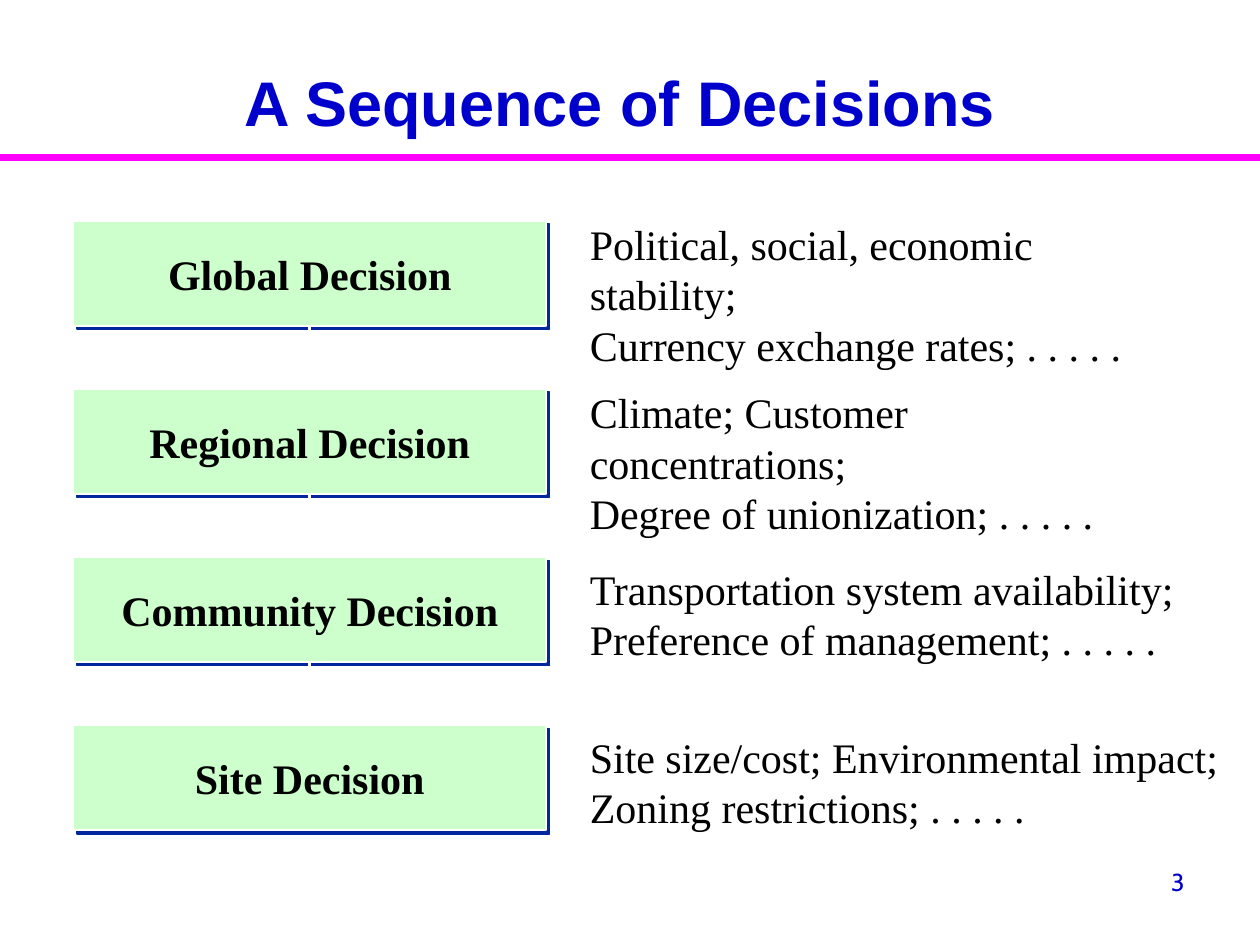
import pptx
import pptx.dml.color
import pptx.enum.shapes
import pptx.enum.text
import pptx.oxml
import pptx.oxml.ns
import pptx.util

Cm, Pt = pptx.util.Cm, pptx.util.Pt
ALIGN = pptx.enum.text.PP_ALIGN
ANCHOR = pptx.enum.text.MSO_ANCHOR

# Content
TITLE = "A Sequence of Decisions"
PAGE_NUMBER = "3"
# decision, factors, width of the factors and their offset from the box top (cm)
DECISIONS = [
    ("Global Decision",
     ["Political, social, economic stability;", "Currency exchange rates; . . . . ."], 12.4, -0.17),
    ("Regional Decision",
     ["Climate; Customer concentrations;", "Degree of unionization; . . . . ."], 12.2, -0.17),
    ("Community Decision",
     ["Transportation system availability;", "Preference of management; . . . . ."], 12.4, 0),
    ("Site Decision",
     ["Site size/cost; Environmental impact;", "Zoning restrictions; . . . . ."], 13.36, 0),
]

THEME = {
    "heading": "0000CC", "rule": "FF00FF", "box": "CCFFCC", "white": "FFFFFF",
    "shadow": "00279F", "text": "000000",
    "title_font": "Arial", "body_font": "Times New Roman", "number_font": "Cabin",
    "title_size": 36, "body_size": 24, "number_size": 14,
}

# Layout in cm
BOX_LEFT, BOX_TOP, BOX_WIDTH, BOX_HEIGHT, PITCH = 1.48, 4.45, 9.53, 2.12, 3.39
FACTORS_LEFT, FACTORS_HEIGHT = 11.64, 2.29
RULE_TOP = 3.18


def rgb(key):
    return pptx.dml.color.RGBColor.from_string(THEME[key])


def write(shape, lines, *, font="body_font", size="body_size", color="text",
          bold=False, align=ALIGN.LEFT, anchor=ANCHOR.TOP, wrap=True):
    frame = shape.text_frame
    frame.word_wrap = wrap
    frame.vertical_anchor = anchor
    for index, line in enumerate(lines):
        paragraph = frame.add_paragraph() if index else frame.paragraphs[0]
        paragraph.alignment = align
        run = paragraph.add_run()
        run.text = line
        run.font.name = THEME[font]
        run.font.size = Pt(THEME[size])
        run.font.bold = bold
        run.font.color.rgb = rgb(color)


def add_text(slide, left, top, width, height, lines, **style):
    box = slide.shapes.add_textbox(Cm(left), Cm(top), Cm(width), Cm(height))
    write(box, lines, **style)


def add_line(slide, start, end, color, weight):
    line = slide.shapes.add_connector(
        pptx.enum.shapes.MSO_CONNECTOR.STRAIGHT, *map(Cm, start + end))
    line.line.color.rgb = rgb(color)
    line.line.width = Pt(weight)
    line._element.spPr.append(pptx.oxml.parse_xml(
        f"<a:effectLst {pptx.oxml.ns.nsdecls('a')}/>"))
    return line


def add_decision(slide, top, decision):
    box = slide.shapes.add_shape(
        pptx.enum.shapes.MSO_SHAPE.RECTANGLE,
        Cm(BOX_LEFT), Cm(top), Cm(BOX_WIDTH), Cm(BOX_HEIGHT))
    box.fill.solid()
    box.fill.fore_color.rgb = rgb("box")
    box.line.color.rgb = rgb("white")
    box.line.width = Pt(1)
    # Hard offset shadow, down and to the right
    box.shadow.inherit = False
    effects = box._element.spPr.find(pptx.oxml.ns.qn("a:effectLst"))
    effects.append(pptx.oxml.parse_xml(
        f"<a:outerShdw {pptx.oxml.ns.nsdecls('a')} dist='{Pt(2.8)}' dir='2700000' "
        f"algn='ctr' rotWithShape='0'><a:srgbClr val='{THEME['shadow']}'/></a:outerShdw>"))
    write(box, [decision], bold=True, align=ALIGN.CENTER, anchor=ANCHOR.MIDDLE, wrap=False)
    return box


def add_arrow(slide, upper, lower):
    arrow = add_line(slide, (0, 0), (0, 0), "white", 1.5)
    arrow.begin_connect(upper, 2)
    arrow.end_connect(lower, 0)
    arrow.line._get_or_add_ln().append(pptx.oxml.parse_xml(
        f"<a:tailEnd {pptx.oxml.ns.nsdecls('a')} type='triangle'/>"))


def main():
    deck = pptx.Presentation()
    deck.slide_width, deck.slide_height = Cm(25.4), Cm(19.05)
    slide = deck.slides.add_slide(deck.slide_layouts[6])

    # Heading, rule and page number
    add_line(slide, (0, RULE_TOP), (25.4, RULE_TOP), "rule", 4)
    add_text(slide, 18.21, 17.35, 5.92, 1.32, [PAGE_NUMBER], font="number_font",
             size="number_size", color="heading", align=ALIGN.RIGHT)
    add_text(slide, 1.07, 0.53, 22.86, 2.41, [TITLE], font="title_font",
             size="title_size", color="heading", bold=True,
             align=ALIGN.CENTER, anchor=ANCHOR.BOTTOM)

    # Decisions with their factors
    boxes = []
    for row, (decision, factors, width, offset) in enumerate(DECISIONS):
        top = BOX_TOP + row * PITCH
        boxes.append(add_decision(slide, top, decision))
        add_text(slide, FACTORS_LEFT, top + offset, width, FACTORS_HEIGHT, factors)

    # Arrows from each decision to the next
    for upper, lower in zip(boxes, boxes[1:]):
        add_arrow(slide, upper, lower)

    deck.save("out.pptx")


if __name__ == "__main__":
    main()
